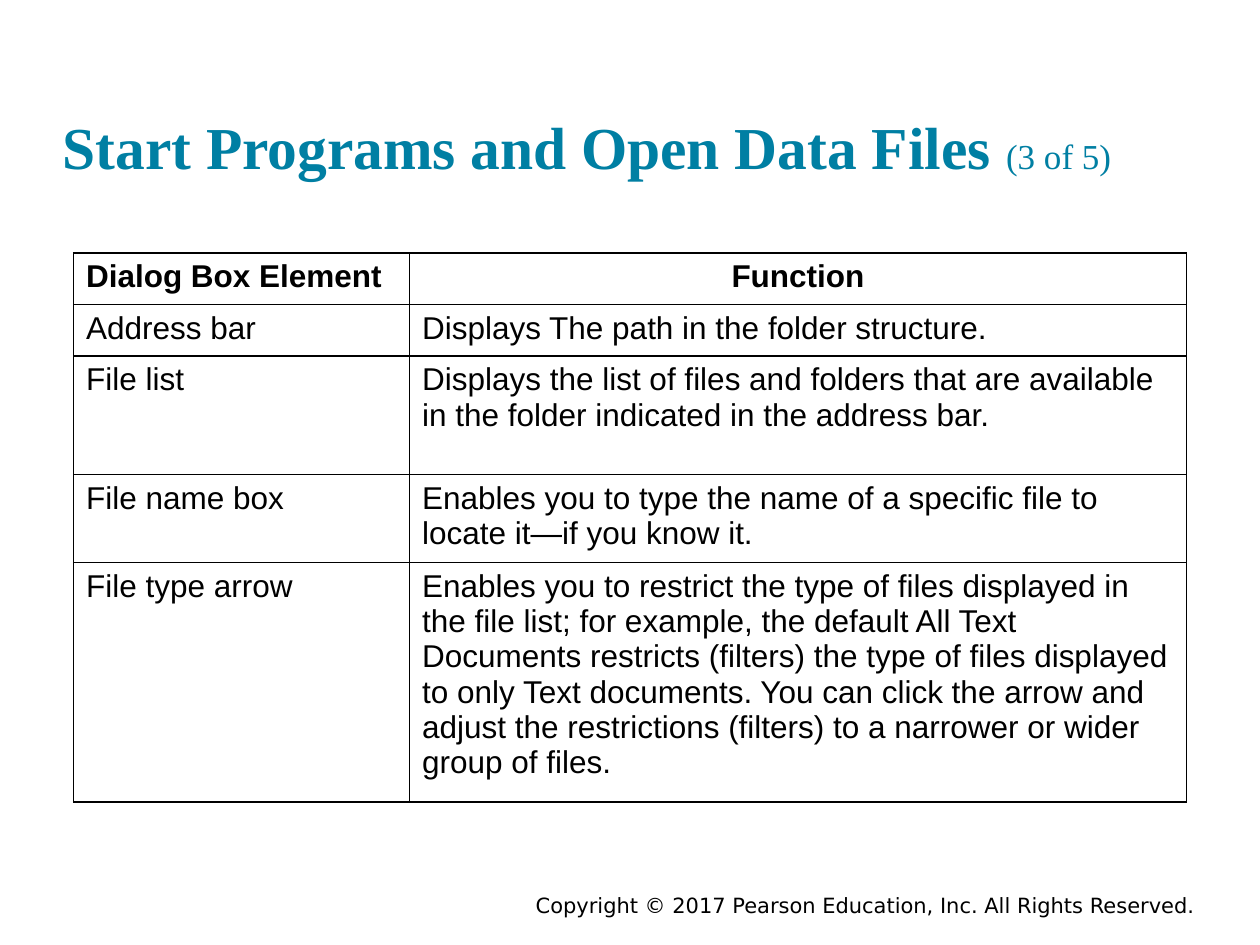
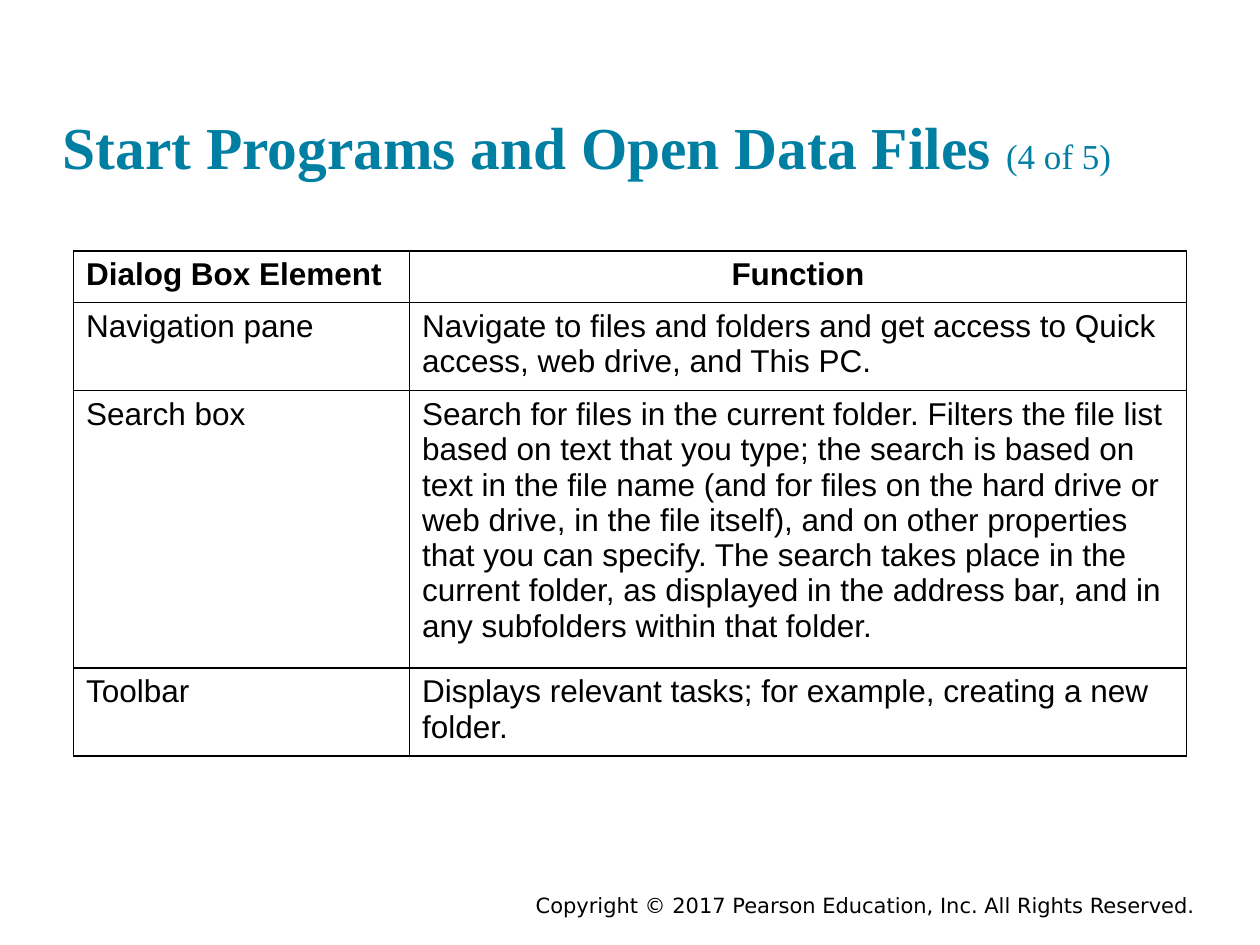
from lxml import etree
from pptx import Presentation
from pptx.dml.color import RGBColor
from pptx.enum.text import MSO_ANCHOR, PP_ALIGN
from pptx.oxml.ns import qn
from pptx.util import Inches, Pt

CENTER, RIGHT, LEFT = PP_ALIGN.CENTER, PP_ALIGN.RIGHT, PP_ALIGN.LEFT
BOTTOM = MSO_ANCHOR.BOTTOM

TEAL = RGBColor(0x00, 0x7F, 0xA3)
BLACK = RGBColor(0x00, 0x00, 0x00)
WHITE = RGBColor(0xFF, 0xFF, 0xFF)

TITLE_FONT, TABLE_FONT, FOOTER_FONT = "Times New Roman", "Arial", "DejaVu Sans"

WIDTH, HEIGHT = Inches(10), Inches(7.5)
COLUMN, ROW = WIDTH / 120, HEIGHT / 90

TITLE_BOX = (6, 2.9, 108, 14.4)
FOOTER_BOX = (21, 84.4, 94, 3.6)
TABLE_LEFT, TABLE_COLUMNS = 7, (32, 74)
ROW_MINIMUM, ROW_PADDING, LINE_HEIGHT = 4.9, 1.2, 3.36

TITLE = "Start Programs and Open Data Files "
COPYRIGHT = "Copyright © 2017 Pearson Education, Inc. All Rights Reserved."
HEADINGS = ("Dialog Box Element", "Function")

PAGES = [
    ("(3 of 5)", 24.1, [
        ("Address bar", "Displays The path in the folder structure.", 1),
        ("File list",
         "Displays the list of files and folders that are available in the "
         "folder indicated in the address bar.", 3),
        ("File name box",
         "Enables you to type the name of a specific file to locate it—if "
         "you know it.", 2),
        ("File type arrow",
         "Enables you to restrict the type of files displayed in the file "
         "list; for example, the default All Text Documents restricts "
         "(filters) the type of files displayed to only Text documents. You "
         "can click the arrow and adjust the restrictions (filters) to a "
         "narrower or wider group of files.", 6),
    ]),
    ("(4 of 5)", 23.9, [
        ("Navigation pane",
         "Navigate to files and folders and get access to Quick access, "
         "web drive, and This PC.", 2),
        ("Search box",
         "Search for files in the current folder. Filters the file list "
         "based on text that you type; the search is based on text in the "
         "file name (and for files on the hard drive or web drive, in the "
         "file itself), and on other properties that you can specify. The "
         "search takes place in the current folder, as displayed in the "
         "address bar, and in any subfolders within that folder.", 7),
        ("Toolbar",
         "Displays relevant tasks; for example, creating a new folder.", 2),
    ]),
]


def place(left, top, width, height):
    return (round(left * COLUMN), round(top * ROW),
            round(width * COLUMN), round(height * ROW))


def add_span(para, text, font, size, color, bold=False):
    span = para.add_run()
    span.text = text
    span.font.name = font
    span.font.size = Pt(size)
    span.font.bold = bold
    span.font.color.rgb = color


def add_text_box(page, box):
    frame = page.shapes.add_textbox(*place(*box)).text_frame
    frame.word_wrap = True
    return frame


def add_title(page, box, part):
    frame = add_text_box(page, box)
    frame.margin_left = frame.margin_right = 0
    frame.margin_top = frame.margin_bottom = 0
    frame.vertical_anchor = BOTTOM
    para = frame.paragraphs[0]
    add_span(para, TITLE, TITLE_FONT, 34, TEAL, bold=True)
    add_span(para, part, TITLE_FONT, 20, TEAL)


def add_footer(page, box):
    para = add_text_box(page, box).paragraphs[0]
    para.alignment = RIGHT
    add_span(para, COPYRIGHT, FOOTER_FONT, 12, BLACK)


def add_borders(cell):
    properties = cell._tc.get_or_add_tcPr()
    for side in ("a:lnL", "a:lnR", "a:lnT", "a:lnB"):
        line = etree.SubElement(properties, qn(side), w=str(Pt(1)))
        fill = etree.SubElement(line, qn("a:solidFill"))
        etree.SubElement(fill, qn("a:srgbClr"), val=str(BLACK))


def fill_cell(cell, text, bold, alignment):
    add_borders(cell)
    cell.fill.solid()
    cell.fill.fore_color.rgb = WHITE
    para = cell.text_frame.paragraphs[0]
    para.alignment = alignment
    add_span(para, text, TABLE_FONT, 18, BLACK, bold)


def add_function_table(page, left, top, elements):
    rows = [(*HEADINGS, 1), *elements]
    heights = [max(ROW_MINIMUM, ROW_PADDING + LINE_HEIGHT * lines)
               for _, _, lines in rows]
    box = place(left, top, sum(TABLE_COLUMNS), sum(heights))
    table = page.shapes.add_table(len(rows), len(TABLE_COLUMNS), *box).table
    table.horz_banding = False
    for column, width in zip(table.columns, TABLE_COLUMNS):
        column.width = round(width * COLUMN)
    for index, (name, function, _) in enumerate(rows):
        table.rows[index].height = round(heights[index] * ROW)
        heading = index == 0
        fill_cell(table.cell(index, 0), name, heading, LEFT)
        fill_cell(table.cell(index, 1), function, heading,
                  CENTER if heading else LEFT)


def add_table_page(deck, part, table_top, elements):
    page = deck.slides.add_slide(deck.slide_layouts[6])
    page.background.fill.solid()
    page.background.fill.fore_color.rgb = WHITE
    add_footer(page, FOOTER_BOX)
    add_title(page, TITLE_BOX, part)
    add_function_table(page, TABLE_LEFT, table_top, elements)


def main():
    deck = Presentation()
    deck.slide_width, deck.slide_height = WIDTH, HEIGHT
    for part, table_top, elements in PAGES:
        add_table_page(deck, part, table_top, elements)
    deck.save("out.pptx")


if __name__ == "__main__":
    main()
